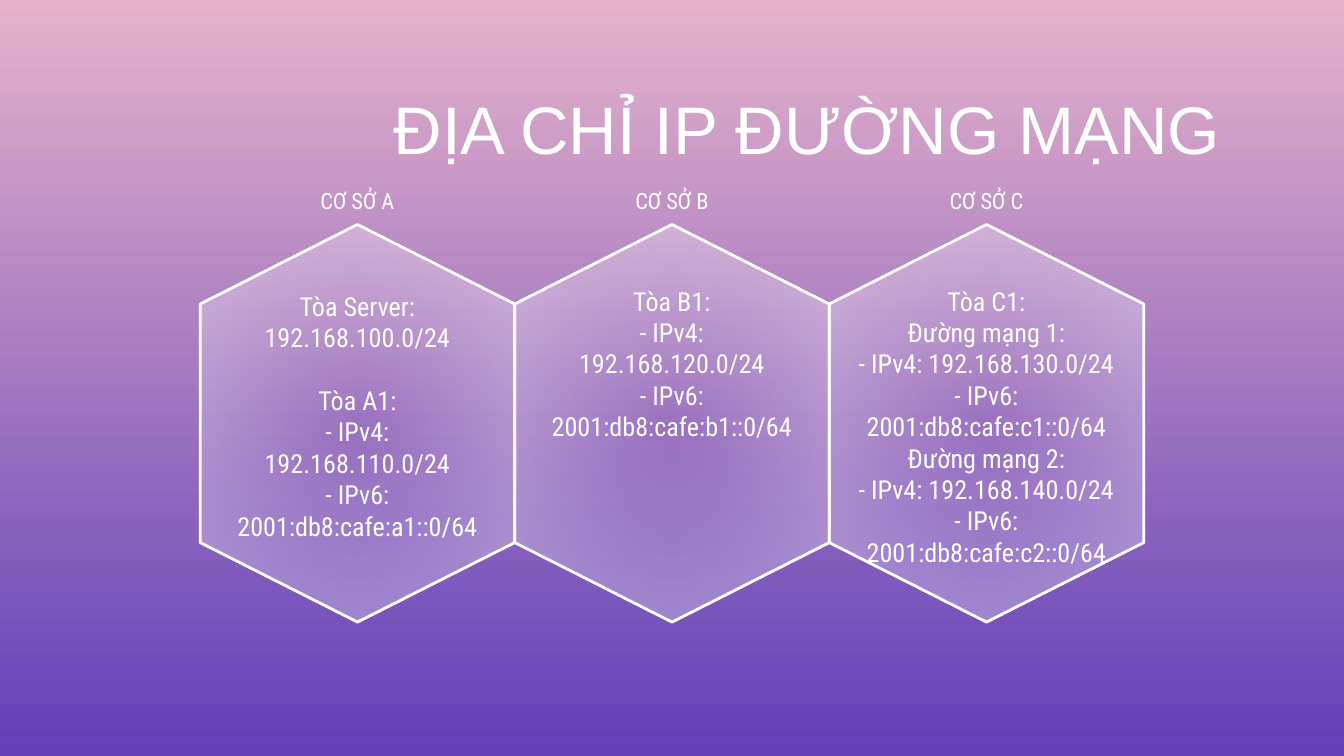
from lxml.etree import SubElement
from pptx import Presentation
from pptx.dml.color import RGBColor
from pptx.enum.shapes import MSO_SHAPE
from pptx.enum.text import MSO_ANCHOR, MSO_AUTO_SIZE, PP_ALIGN
from pptx.oxml.ns import qn
from pptx.util import Pt

# Content
TITLE = "ĐỊA CHỈ IP ĐƯỜNG MẠNG"
# Each site: label, top of its address list, groups of lines
SITES = [
    ("CƠ SỞ A", 148.3, [
        ["Tòa Server:", "192.168.100.0/24"],
        ["Tòa A1:", "- IPv4:", "192.168.110.0/24", "- IPv6: 2001:db8:cafe:a1::0/64"],
    ]),
    ("CƠ SỞ B", 145.5, [
        ["Tòa B1:", "- IPv4:", "192.168.120.0/24", "- IPv6:", "2001:db8:cafe:b1::0/64"],
    ]),
    ("CƠ SỞ C", 145.5, [
        ["Tòa C1:",
         "Đường mạng 1:", "- IPv4: 192.168.130.0/24", "- IPv6:", "2001:db8:cafe:c1::0/64",
         "Đường mạng 2:", "- IPv4: 192.168.140.0/24", "- IPv6:", "2001:db8:cafe:c2::0/64"],
    ]),
]

# Format and grid, in points
WHITE, SKY, DUSK = "FFFFFF", "E5B2CA", "613FB8"
SLIDE_W, SLIDE_H = 720, 405
HEX_LENGTH, HEX_W, HEX_MIDDLE = 213, 168.5, 226.8
LIST_BOTTOM = 311.5
LABEL_TOP, LABEL_W, LABEL_H = 92.9, 122.4, 27.4
GROUP_GAP = 16.8


def color(hex_code):
    return RGBColor.from_string(hex_code)


def write(holder, groups, size, font="Roboto Condensed", ink=WHITE,
          align=PP_ALIGN.CENTER, gap=0, inset_top=7.2):
    """Fill a text holder with groups of lines, set apart by a gap."""
    frame = holder.text_frame
    frame.word_wrap = True
    frame.auto_size = MSO_AUTO_SIZE.NONE
    frame.vertical_anchor = MSO_ANCHOR.TOP
    frame.margin_left = frame.margin_right = frame.margin_bottom = Pt(7.2)
    frame.margin_top = Pt(inset_top)
    lines = [(line, gap if group and not row else 0)
             for group, rows in enumerate(groups) for row, line in enumerate(rows)]
    for index, (line, space) in enumerate(lines):
        paragraph = frame.add_paragraph() if index else frame.paragraphs[0]
        paragraph.alignment = align
        paragraph.line_spacing = 1.0
        paragraph.space_before = Pt(space)
        run = paragraph.add_run()
        run.text = line
        run.font.name = font
        run.font.size = Pt(size)
        run.font.color.rgb = color(ink)


def blend(fill, stops):
    fill.gradient()
    for stop, hex_code in zip(fill.gradient_stops, stops):
        stop.color.rgb = color(hex_code)


def glow(shape, alphas):
    """Make the fill radial, with an opacity for the centre and the edge."""
    blend(shape.fill, [WHITE, WHITE])
    gradient = shape.element.spPr.find(qn("a:gradFill"))
    for stop_color, alpha in zip(gradient.iter(qn("a:srgbClr")), alphas):
        SubElement(stop_color, qn("a:alpha"), val=str(alpha * 1000))
    gradient.remove(gradient.find(qn("a:lin")))
    radial = SubElement(gradient, qn("a:path"), {"path": "circle"})
    SubElement(radial, qn("a:fillToRect"), {side: "50000" for side in "ltrb"})


deck = Presentation()
deck.slide_width, deck.slide_height = Pt(SLIDE_W), Pt(SLIDE_H)
slide = deck.slides.add_slide(deck.slide_layouts[5])

# Background
backdrop = slide.background.fill
blend(backdrop, [SKY, DUSK])
backdrop.gradient_angle = 270

# Title
heading = slide.shapes.title
heading.left, heading.top, heading.width, heading.height = Pt(0), Pt(39.6), Pt(661), Pt(52.6)
write(heading, [[TITLE]], 36, font="Arial", align=PP_ALIGN.RIGHT)

# Hexagons side by side, centred on the slide
centers = [SLIDE_W / 2 + (column - (len(SITES) - 1) / 2) * HEX_W
           for column in range(len(SITES))]
for center in centers:
    hexagon = slide.shapes.add_shape(
        MSO_SHAPE.FLOWCHART_PREPARATION, Pt(center - HEX_LENGTH / 2),
        Pt(HEX_MIDDLE - HEX_W / 2), Pt(HEX_LENGTH), Pt(HEX_W))
    hexagon.rotation = 90
    hexagon.shadow.inherit = False
    glow(hexagon, (0, 39))
    hexagon.line.color.rgb = color(WHITE)
    hexagon.line.width = Pt(1.5)

# Address lists and site labels
for center, (site, list_top, networks) in zip(centers, SITES):
    addresses = slide.shapes.add_textbox(
        Pt(center - HEX_W / 2), Pt(list_top), Pt(HEX_W), Pt(LIST_BOTTOM - list_top))
    write(addresses, networks, 14, gap=GROUP_GAP)
    label = slide.shapes.add_textbox(
        Pt(center - LABEL_W / 2), Pt(LABEL_TOP), Pt(LABEL_W), Pt(LABEL_H))
    write(label, [[site]], 12)

deck.save("out.pptx")
